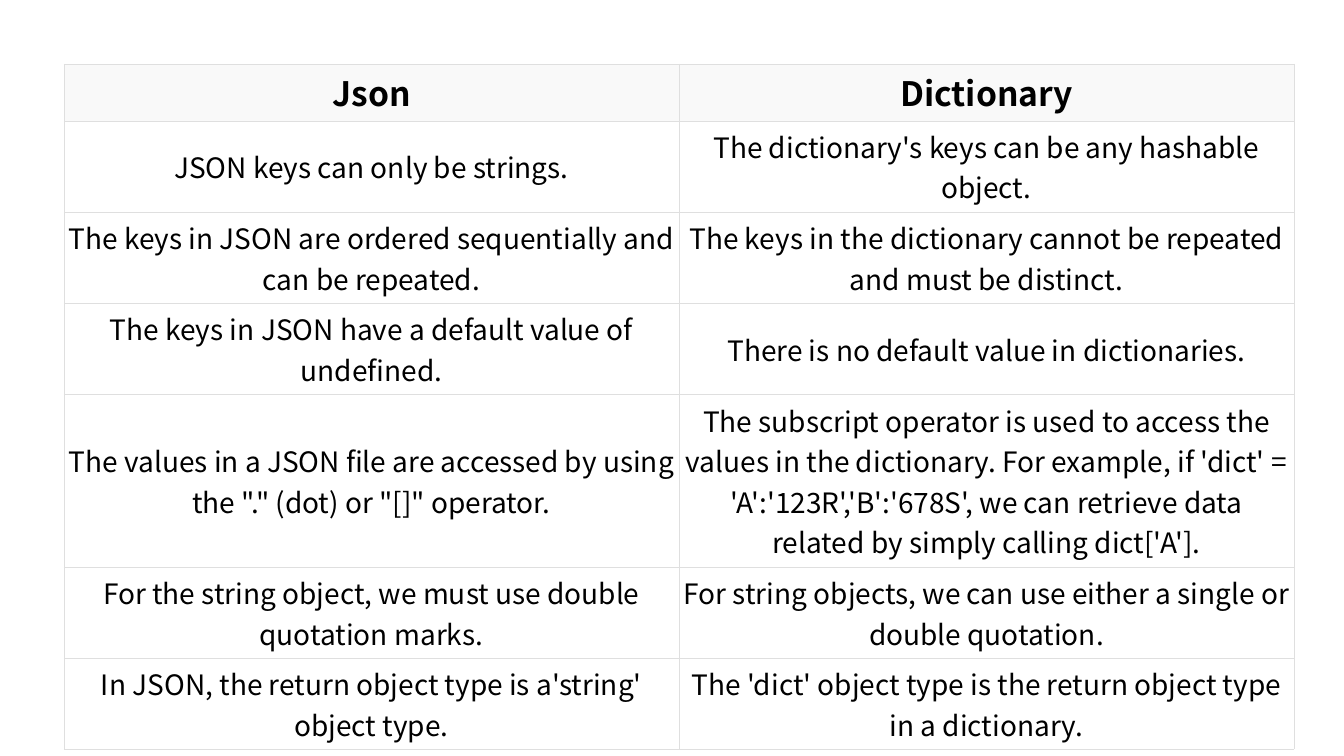
"""Build a slide with a table comparing JSON with a dictionary."""
from dataclasses import dataclass

from lxml import etree
from pptx import Presentation
from pptx import util as u
from pptx.dml.color import RGBColor
from pptx.enum import text
from pptx.oxml import ns

SLIDE_WIDTH, SLIDE_HEIGHT = 1344, 756
LEFT, TOP, COLUMN_WIDTH = 64, 64, 615
FONT = "Noto Sans CJK SC"
INK, WHITE, HEADER_FILL, BORDER = "000000", "FFFFFF", "F9F9F9", "DFDFDF"
BORDER_POINTS = 0.11


@dataclass
class Row:
    height: int
    json: str
    dictionary: str


HEADER = Row(50, "Json", "Dictionary")
BODY = [
    Row(47, "JSON keys can only be strings.",
        "The dictionary's keys can be any hashable object."),
    Row(83, "The keys in JSON are ordered sequentially and can be repeated.",
        "The keys in the dictionary cannot be repeated and must be distinct."),
    Row(83, "The keys in JSON have a default value of undefined.",
        "There is no default value in dictionaries."),
    Row(153, 'The values in a JSON file are accessed by using the "." (dot) or "[]" operator.',
        "The subscript operator is used to access the values in the dictionary. "
        "For example, if 'dict' = 'A':'123R','B':'678S', we can retrieve data "
        "related by simply calling dict['A']."),
    Row(83, "For the string object, we must use double quotation marks.",
        "For string objects, we can use either a single or double quotation."),
    Row(83, "In JSON, the return object type is a'string' object type.",
        "The 'dict' object type is the return object type in a dictionary."),
]


def px(length: int) -> u.Emu:
    return u.Emu(round(length * 12192000 / SLIDE_WIDTH))


def color(value: str) -> RGBColor:
    return RGBColor.from_string(value)


def add_borders(cell) -> None:
    properties = cell._tc.get_or_add_tcPr()
    for side in ("lnL", "lnR", "lnT", "lnB"):
        line = etree.SubElement(properties, ns.qn(f"a:{side}"), w=str(u.Pt(BORDER_POINTS)))
        fill = etree.SubElement(line, ns.qn("a:solidFill"))
        etree.SubElement(fill, ns.qn("a:srgbClr"), val=BORDER)


def write_cell(cell, words: str, *, size: int = 20, bold: bool = False,
               fill: str = WHITE, inset: int = 5) -> None:
    add_borders(cell)
    cell.fill.solid()
    cell.fill.fore_color.rgb = color(fill)
    cell.vertical_anchor = text.MSO_ANCHOR.MIDDLE
    cell.margin_left = cell.margin_right = px(4)
    cell.margin_top = cell.margin_bottom = px(inset)
    para = cell.text_frame.paragraphs[0]
    para.alignment = text.PP_ALIGN.CENTER
    span = para.add_run()
    span.text = words
    span.font.name = FONT
    span.font.size = u.Pt(size)
    span.font.bold = bold
    span.font.color.rgb = color(INK)


def add_comparison(page, rows: list[Row]) -> None:
    height = sum(row.height for row in rows)
    frame = page.shapes.add_table(len(rows), 2, px(LEFT), px(TOP),
                                  px(2 * COLUMN_WIDTH), px(height))
    table = frame.table
    for column in table.columns:
        column.width = px(COLUMN_WIDTH)
    for index, row in enumerate(rows):
        table.rows[index].height = px(row.height)
        style = {"size": 24, "bold": True, "fill": HEADER_FILL, "inset": 4} if row is HEADER else {}
        for column, words in enumerate((row.json, row.dictionary)):
            write_cell(table.cell(index, column), words, **style)


def main() -> None:
    deck = Presentation()
    deck.slide_width, deck.slide_height = px(SLIDE_WIDTH), px(SLIDE_HEIGHT)
    page = deck.slides.add_slide(deck.slide_layouts.get_by_name("Blank"))
    add_comparison(page, [HEADER, *BODY])
    deck.save("out.pptx")


if __name__ == "__main__":
    main()
